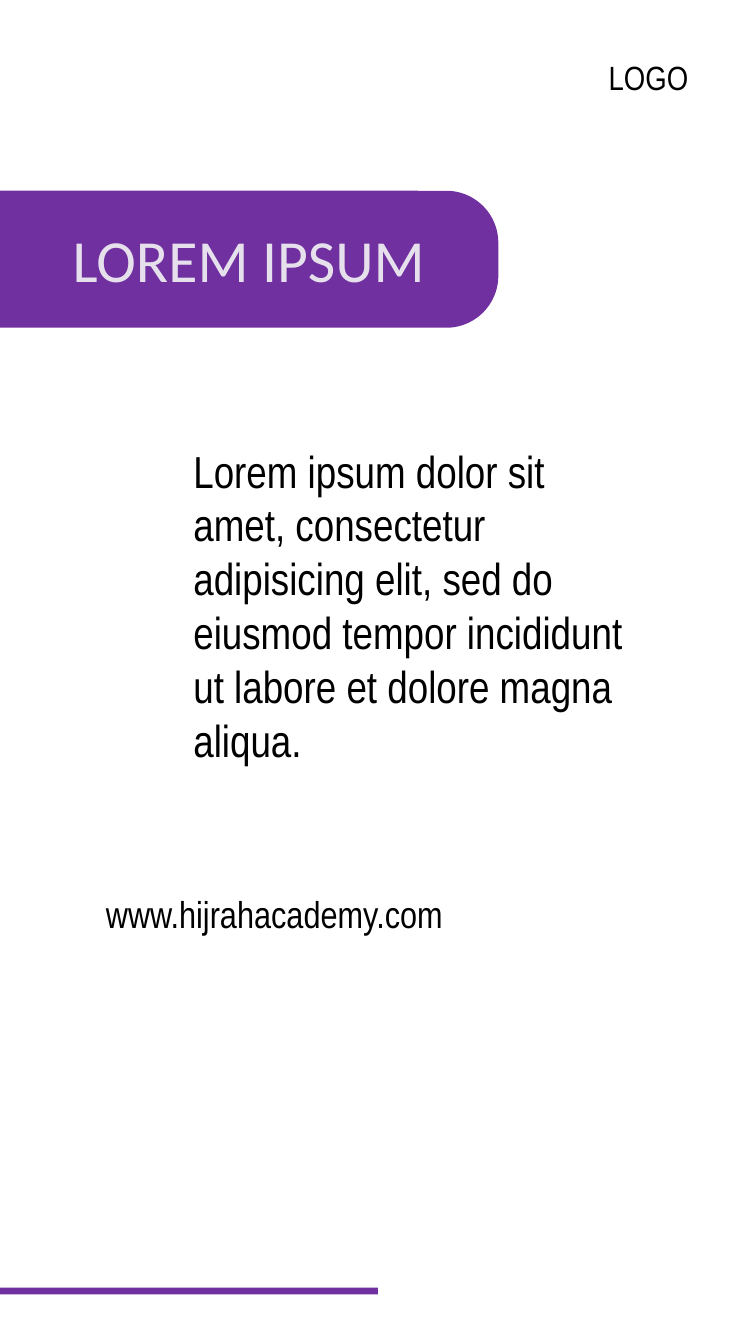
from dataclasses import dataclass

from pptx import Presentation
from pptx import util as u
from pptx.dml.color import RGBColor
from pptx.enum import shapes, text


@dataclass(frozen=True)
class Theme:
    """Colours, fonts and type sizes of the poster."""
    purple: RGBColor = RGBColor(0x70, 0x30, 0xA0)
    lavender: RGBColor = RGBColor(0xE6, 0xE0, 0xEC)
    black: RGBColor = RGBColor(0, 0, 0)
    heading_font: str = "Calibri"
    body_font: str = "Arial Narrow"
    heading_size: int = 32
    body_size: int = 24
    web_size: int = 20
    logo_size: int = 18


class Poster:
    """Draws styled elements on the current slide."""

    def __init__(self, slide, theme):
        self.slide = slide
        self.theme = theme

    def block(self, kind, *box):
        shape = self.slide.shapes.add_shape(kind, *map(u.Pt, box))
        shape.shadow.inherit = False
        shape.fill.solid()
        shape.fill.fore_color.rgb = self.theme.purple
        shape.line.fill.background()
        return shape

    def set_words(self, holder, words, font, size, color):
        frame = holder.text_frame
        frame.text = words
        frame.word_wrap = True
        frame.auto_size = text.MSO_AUTO_SIZE.SHAPE_TO_FIT_TEXT
        frame.vertical_anchor = text.MSO_ANCHOR.TOP
        line = frame.paragraphs[0]
        line.alignment = text.PP_ALIGN.LEFT
        for run in line.runs:
            run.font.name = font
            run.font.size = u.Pt(size)
            run.font.color.rgb = color

    def heading(self, words, banner, *box):
        title = self.slide.shapes.title
        title.left, title.top, title.width, title.height = map(u.Pt, box)
        self.set_words(title, words, self.theme.heading_font,
                       self.theme.heading_size, self.theme.lavender)
        banner.element.addnext(title.element)

    def label(self, words, size, *box):
        holder = self.slide.shapes.add_textbox(*map(u.Pt, box))
        self.set_words(holder, words, self.theme.body_font, size,
                       self.theme.black)


def main():
    deck = Presentation()
    deck.slide_width, deck.slide_height = u.Pt(405), u.Pt(720)
    theme = Theme()
    poster = Poster(deck.slides.add_slide(deck.slide_layouts[5]), theme)

    banner = poster.block(shapes.MSO_SHAPE.ROUNDED_RECTANGLE,
                          -73.5, 102.2, 340.5, 73.4)
    banner.adjustments[0] = 0.38
    poster.heading("LOREM IPSUM", banner, 31.7, 116, 212.4, 46)
    poster.label("Lorem ipsum dolor sit amet, consectetur adipisicing elit, "
                 "sed do eiusmod tempor incididunt ut labore et dolore magna "
                 "aliqua.", theme.body_size, 96.5, 234, 251.3, 181.4)
    poster.label("www.hijrahacademy.com", theme.web_size,
                 49.7, 473.8, 234, 31.5)
    poster.label("LOGO", theme.logo_size, 319, 26.8, 57.6, 29)
    poster.block(shapes.MSO_SHAPE.RECTANGLE, 0, 689.8, 202.5, 3.6)

    deck.save("out.pptx")


if __name__ == "__main__":
    main()
